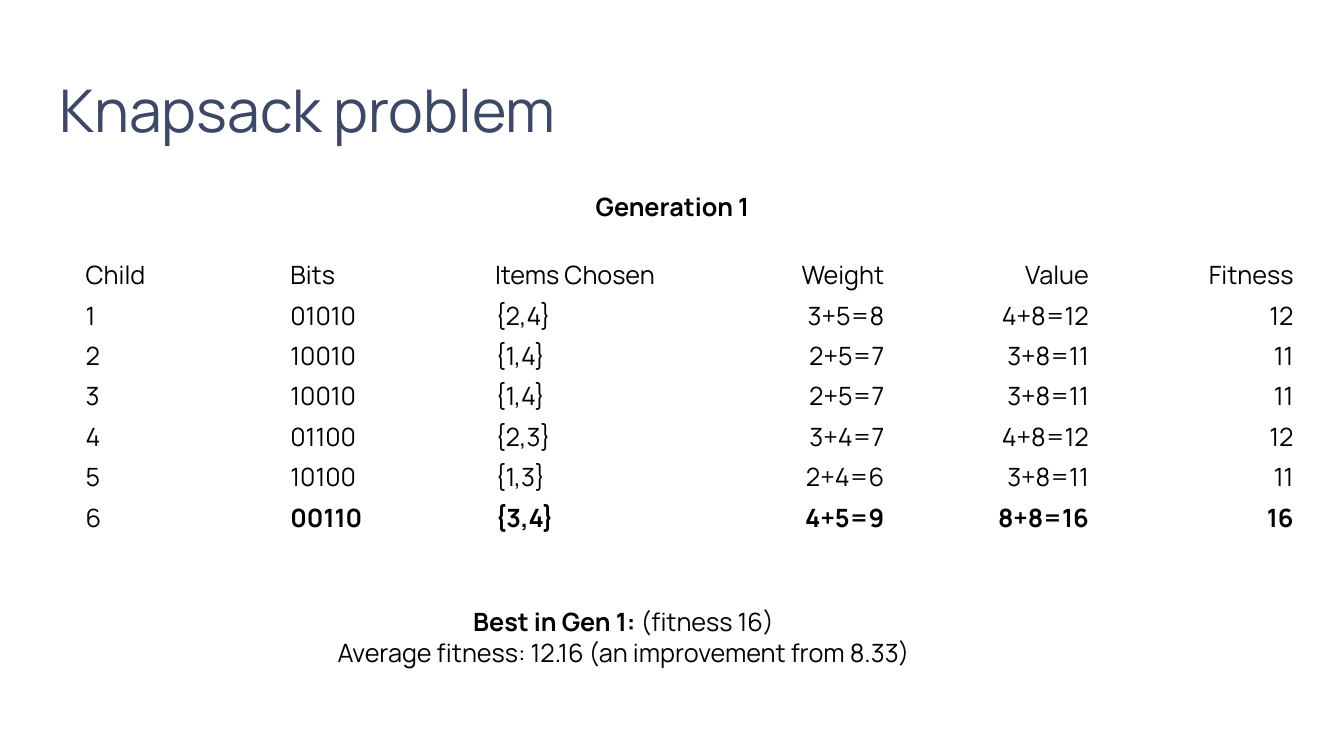
from pptx import Presentation
from pptx.dml.color import RGBColor
from pptx.enum.text import MSO_ANCHOR, PP_ALIGN
from pptx.util import Inches, Pt

LEFT, CENTER, RIGHT = PP_ALIGN.LEFT, PP_ALIGN.CENTER, PP_ALIGN.RIGHT
MIDDLE, TOP = MSO_ANCHOR.MIDDLE, MSO_ANCHOR.TOP

FONT = "Manrope"
NAVY, BLACK = "3D4766", "000000"

TITLE = "Knapsack problem"
CAPTION = "Generation 1"
SUMMARY = [
    [("Best in Gen 1:", True), (" (fitness 16)", False)],
    [("Average fitness: 12.16 (an improvement from 8.33)", False)],
]
CHILDREN = [
    ("Child", "Bits", "Items Chosen", "Weight", "Value", "Fitness"),
    ("1", "01010", "{2,4}", "3+5=8", "4+8=12", "12"),
    ("2", "10010", "{1,4}", "2+5=7", "3+8=11", "11"),
    ("3", "10010", "{1,4}", "2+5=7", "3+8=11", "11"),
    ("4", "01100", "{2,3}", "3+4=7", "4+8=12", "12"),
    ("5", "10100", "{1,3}", "2+4=6", "3+8=11", "11"),
    ("6", "00110", "{3,4}", "4+5=9", "8+8=16", "16"),
]
BEST_ROW = 6
FIRST_NUMERIC_COL = 3
COL_W, ROW_H = 2.03, 0.4


def style(r, size=18, color=BLACK, bold=False):
    r.font.name = FONT
    r.font.size = Pt(size)
    r.font.bold = bold
    r.font.color.rgb = RGBColor.from_string(color)


def add_text(slide, box, lines, align=CENTER, anchor=TOP, size=18, color=BLACK):
    tf = slide.shapes.add_textbox(*map(Inches, box)).text_frame
    tf.word_wrap = True
    tf.vertical_anchor = anchor
    for i, line in enumerate(lines):
        p = tf.add_paragraph() if i else tf.paragraphs[0]
        p.alignment = align
        for text, bold in line:
            r = p.add_run()
            r.text = text
            style(r, size, color, bold)
    return tf


def add_children_table(slide, left, top):
    rows, cols = len(CHILDREN), len(CHILDREN[0])
    table = slide.shapes.add_table(
        rows, cols, Inches(left), Inches(top),
        Inches(cols * COL_W), Inches(rows * ROW_H)).table
    table.first_row = table.horz_banding = False
    for i, row in enumerate(CHILDREN):
        for j, text in enumerate(row):
            cell = table.cell(i, j)
            cell.fill.background()
            cell.vertical_anchor = MIDDLE
            cell.text = text
            p = cell.text_frame.paragraphs[0]
            p.alignment = RIGHT if j >= FIRST_NUMERIC_COL else LEFT
            style(p.runs[0], bold=i == BEST_ROW and j > 0)


def main():
    prs = Presentation()
    prs.slide_width, prs.slide_height = Inches(13.33), Inches(7.5)
    s = prs.slides.add_slide(prs.slide_layouts[6])
    tf = add_text(s, (0.59, 0.4, 12.18, 1.45), [[(TITLE, False)]],
                  LEFT, MIDDLE, 42, NAVY)
    tf.margin_left = 0
    tf.paragraphs[0].line_spacing = 0.9
    add_children_table(s, 0.75, 2.51)
    add_text(s, (2.85, 5.97, 6.67, 0.71), SUMMARY)
    add_text(s, (5.77, 1.85, 1.8, 0.42), [[(CAPTION, True)]])
    prs.save("out.pptx")


if __name__ == "__main__":
    main()
